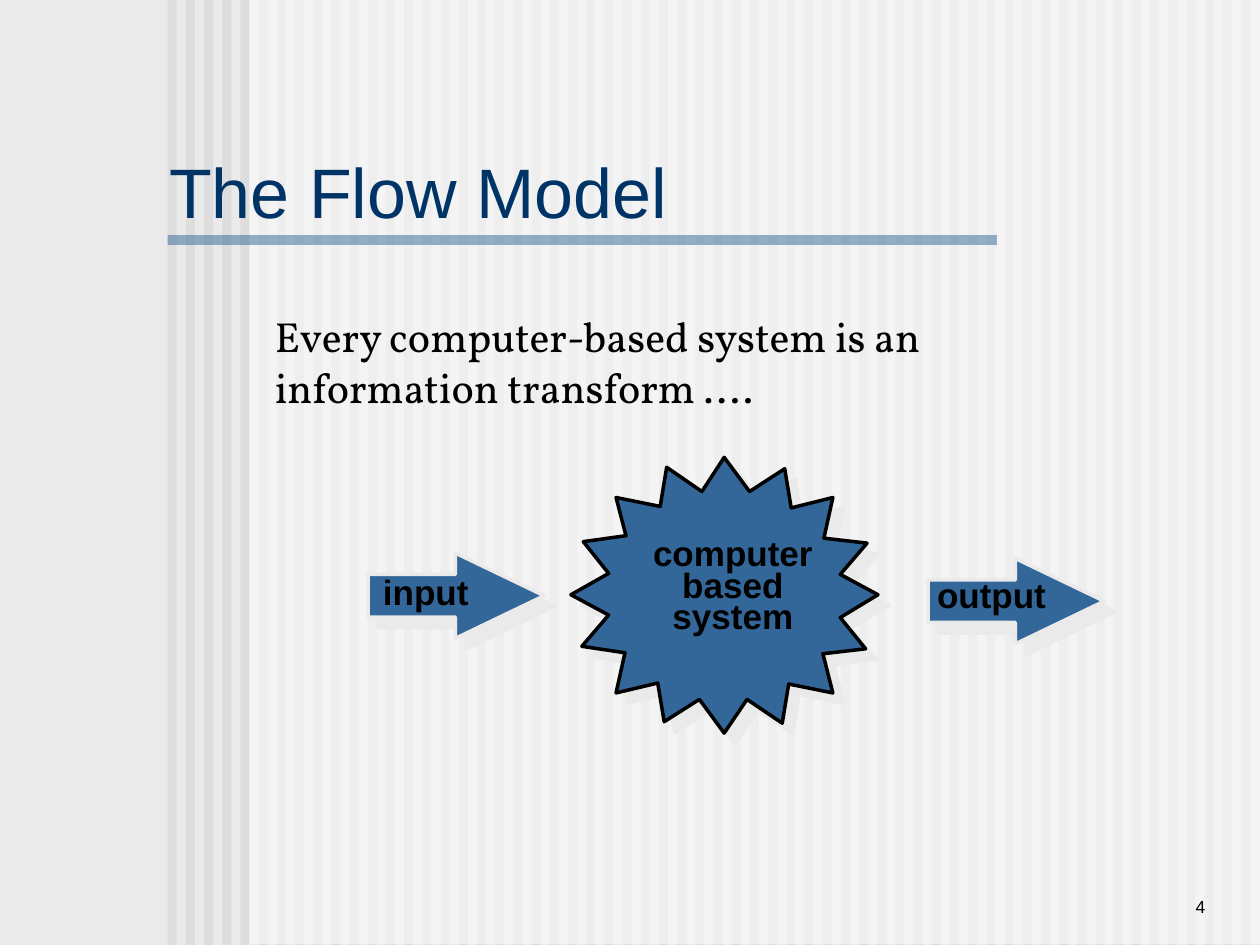
from lxml.etree import SubElement
from pptx import Presentation
from pptx.dml.color import RGBColor
from pptx.enum.shapes import MSO_SHAPE
from pptx.enum.text import MSO_ANCHOR, MSO_AUTO_SIZE, PP_ALIGN
from pptx.oxml.ns import qn
from pptx.util import Cm, Pt

STAR_SCALE = Cm(0.01)
STAR_POINTS = [
    (1151, 1199), (1227, 1240), (1173, 1303), (1260, 1316),
    (1242, 1397), (1326, 1377), (1339, 1455), (1410, 1410),
    (1460, 1478), (1506, 1410), (1577, 1458), (1590, 1379),
    (1679, 1397), (1659, 1318), (1745, 1308), (1694, 1245),
    (1770, 1199), (1694, 1158), (1748, 1095), (1661, 1085),
    (1679, 1003), (1595, 1024), (1582, 945), (1511, 991),
    (1460, 922), (1415, 991), (1344, 942), (1331, 1021),
    (1242, 1003), (1262, 1080), (1176, 1092), (1227, 1156),
]


def rgb(value):
    return RGBColor.from_string(value)


def write(tf, text, size=20, font="Arial", color="000000", bold=False,
          align=PP_ALIGN.LEFT, spacing=None):
    for i, line in enumerate(text.split("\n")):
        p = tf.paragraphs[0] if i == 0 else tf.add_paragraph()
        p.alignment = align
        p.line_spacing = spacing
        r = p.add_run()
        r.text = line
        r.font.size = Pt(size)
        r.font.name = font
        r.font.bold = bold
        r.font.color.rgb = rgb(color)


class FlowSlide:
    """Draws styled elements on the current slide."""

    paper = "EAEAEA"
    stripe = "DDDDDD"
    blue = "336699"
    navy = "003366"
    black = "000000"

    def __init__(self, prs):
        self.s = prs.slides.add_slide(prs.slide_layouts[6])
        fill = self.s.background.fill
        fill.solid()
        fill.fore_color.rgb = rgb(self.paper)

    def paint(self, sp, fill, line=None):
        sp.shadow.inherit = False
        sp.fill.solid()
        sp.fill.fore_color.rgb = rgb(fill)
        if line:
            sp.line.color.rgb = rgb(line)
            sp.line.width = Pt(2)
        else:
            sp.line.fill.background()

    def cast_shadow(self, sp):
        effects = sp._element.spPr.find(qn("a:effectLst"))
        shadow = SubElement(effects, qn("a:outerShdw"), dist=str(Pt(8.5)),
                            dir="2700000", algn="ctr", rotWithShape="0")
        SubElement(shadow, qn("a:srgbClr"), val=self.paper)

    def bar(self, x, y, w, h, color, alpha=None):
        sp = self.s.shapes.add_shape(MSO_SHAPE.RECTANGLE, Cm(x), Cm(y), Cm(w), Cm(h))
        self.paint(sp, color)
        if alpha is not None:
            clr = sp._element.spPr.find(qn("a:solidFill"))[0]
            SubElement(clr, qn("a:alpha"), val=str(alpha * 1000))

    def stripes(self, first, last, count):
        step = (last - first) / (count - 1)
        for i in range(count):
            self.bar(first + i * step, 0, step / 2, 19.05, self.stripe)

    def arrow(self, x, y):
        sp = self.s.shapes.add_shape(MSO_SHAPE.RIGHT_ARROW, Cm(x), Cm(y), Cm(3.55), Cm(1.72))
        sp.adjustments[1] = 1.04
        self.paint(sp, self.blue, self.paper)
        self.cast_shadow(sp)

    def star(self, points):
        builder = self.s.shapes.build_freeform(*points[0], scale=STAR_SCALE)
        builder.add_line_segments(points[1:], close=True)
        sp = builder.convert_to_shape()
        self.paint(sp, self.blue, self.black)
        self.cast_shadow(sp)

    def text(self, x, y, w, h, text, wrap=False, anchor=MSO_ANCHOR.TOP, **style):
        tf = self.s.shapes.add_textbox(Cm(x), Cm(y), Cm(w), Cm(h)).text_frame
        tf.word_wrap = wrap
        tf.auto_size = MSO_AUTO_SIZE.NONE if wrap else MSO_AUTO_SIZE.SHAPE_TO_FIT_TEXT
        tf.vertical_anchor = anchor
        write(tf, text, **style)


def main():
    prs = Presentation()
    prs.slide_width, prs.slide_height = Cm(25.4), Cm(19.05)
    s = FlowSlide(prs)

    s.stripes(3.38, 25.02, 60)
    s.bar(5.03, 0, 20.37, 19.03, "FFFFFF", alpha=50)
    s.bar(3.38, 4.74, 16.72, 0.2, s.blue, alpha=50)

    s.text(3.16, 3.16, 19.9, 1.35, "The Flow Model", wrap=True,
           anchor=MSO_ANCHOR.MIDDLE, size=40, color=s.navy)
    s.text(5.29, 6.14, 14, 2.29,
           "Every computer-based system is an\ninformation transform ....",
           size=24, font="Vollkorn")

    s.star(STAR_POINTS)
    s.arrow(7.42, 11.15)
    s.arrow(18.71, 11.26)
    s.text(12.9, 10.79, 3.75, 2.16, "computer\nbased\nsystem", bold=True,
           align=PP_ALIGN.CENTER, spacing=0.75)
    s.text(7.47, 11.38, 2.26, 1.09, "input", bold=True)
    s.text(18.64, 11.43, 2.75, 1.09, "output", bold=True)
    s.text(20.95, 17.35, 3.6, 1.27, "4", wrap=True,
           anchor=MSO_ANCHOR.BOTTOM, size=10, align=PP_ALIGN.RIGHT)

    prs.save("out.pptx")


if __name__ == "__main__":
    main()
